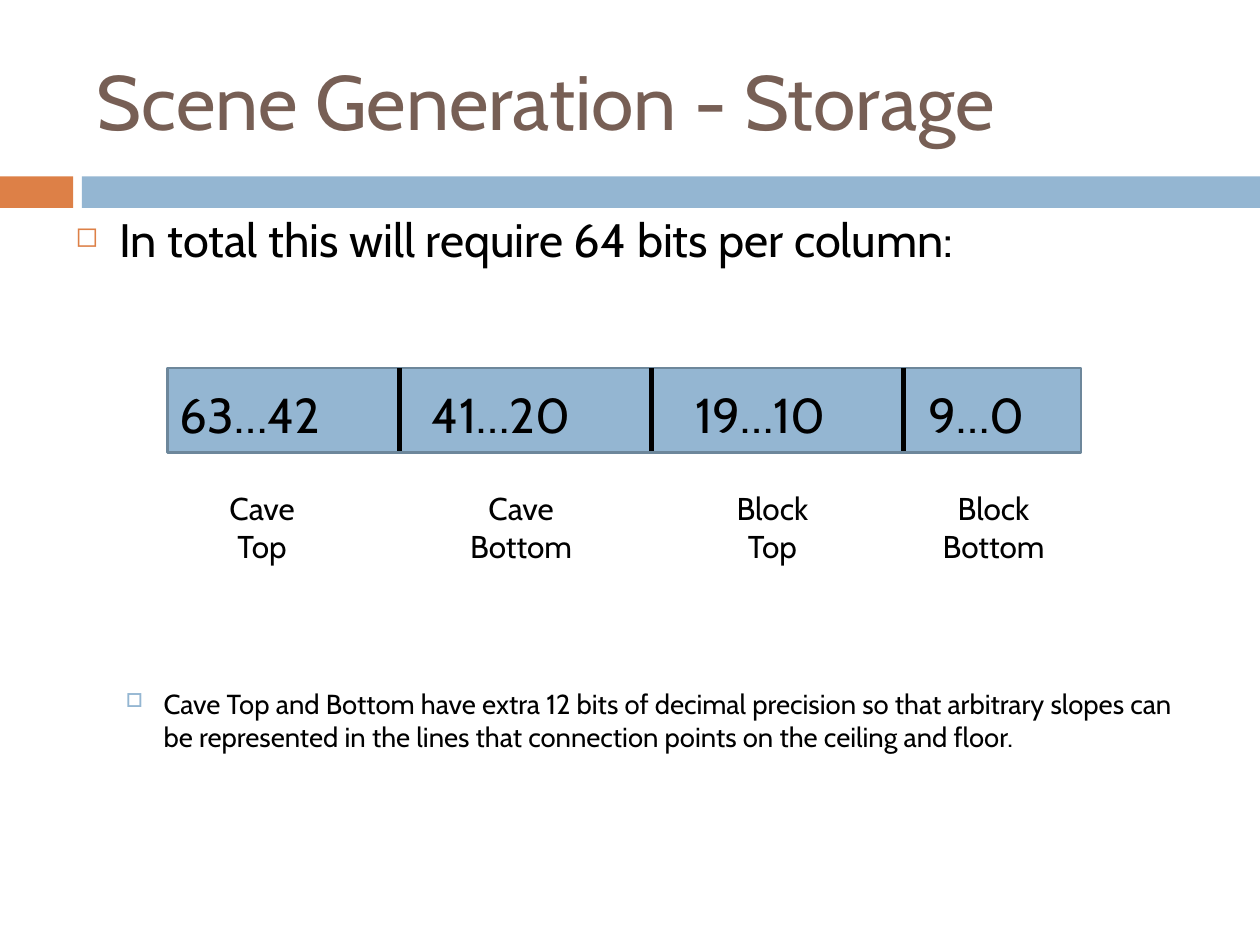
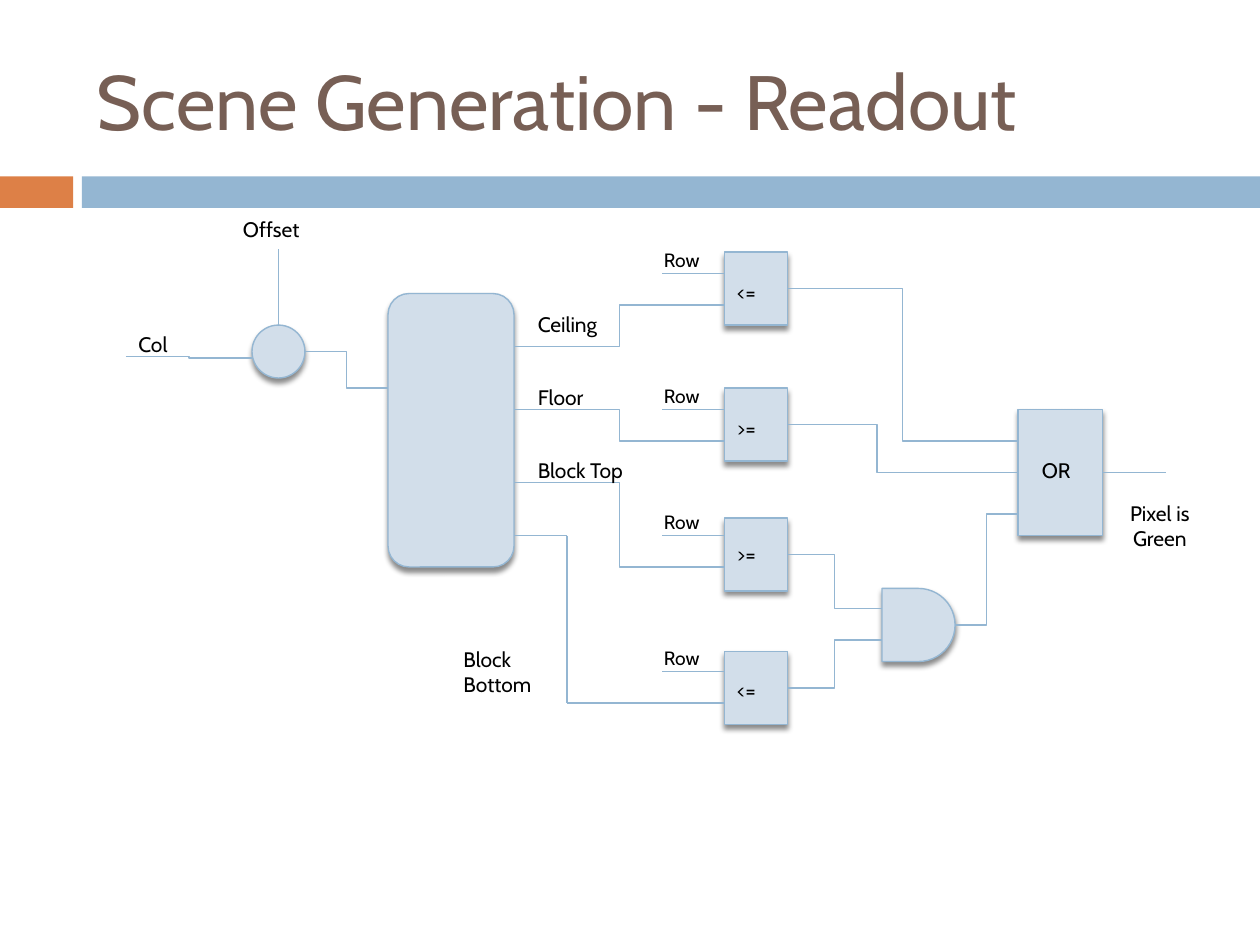
from pptx import Presentation
from pptx.dml.color import RGBColor
from pptx.enum.shapes import MSO_CONNECTOR, MSO_SHAPE
from pptx.enum.text import MSO_ANCHOR, PP_ALIGN
from pptx.oxml import parse_xml
from pptx.oxml.ns import nsdecls
from pptx.util import Inches, Pt

HUES = {
    "title": "775F55", "text": "000000", "accent": "DD8047",
    "blue": "94B6D2", "edge": "6D879B", "pale": "D2DEEA",
}
RGB = {name: RGBColor.from_string(code) for name, code in HUES.items()}
FONT = "Cabin"
NS = nsdecls("a")


def write(slide, words, box, size, hue="text", align=PP_ALIGN.LEFT):
    frame = slide.shapes.add_textbox(*map(Inches, box)).text_frame
    frame.word_wrap = True
    for i, line in enumerate(words.split("\n")):
        para = frame.paragraphs[0] if i == 0 else frame.add_paragraph()
        para.alignment = align
        run = para.add_run()
        run.text = line
        run.font.name = FONT
        run.font.size = Pt(size)
        run.font.color.rgb = RGB[hue]
    return frame


def wire(slide, kind, ends, hue="blue", width=0.79):
    line = slide.shapes.add_connector(kind, *map(Inches, ends))
    line.line.color.rgb = RGB[hue]
    line.line.width = Pt(width)
    line._element.spPr.append(parse_xml(f"<a:effectLst {NS}/>"))
    return line


prs = Presentation()
prs.slide_width = Inches(10)
prs.slide_height = Inches(7.5)
slides = []
for title in ("Scene Generation - Storage", "Scene Generation - Readout"):
    slide = prs.slides.add_slide(prs.slide_layouts[6])
    for left, width, hue in ((0, 0.58, "accent"), (0.65, 9.35, "blue")):
        band = slide.shapes.add_shape(
            MSO_SHAPE.RECTANGLE, Inches(left), Inches(1.4), Inches(width), Inches(0.25))
        band.shadow.inherit = False
        band.fill.solid()
        band.fill.fore_color.rgb = RGB[hue]
        band.line.fill.background()
    head = write(slide, title, (0.67, 0.25, 8.92, 1.08), 44, "title")
    head.vertical_anchor = MSO_ANCHOR.MIDDLE
    slides.append(slide)
store, read = slides

body = write(
    store,
    "In total this will require 64 bits per column:\n"
    "Cave Top and Bottom have extra 12 bits of decimal precision so that arbitrary "
    "slopes can be represented in the lines that connection points on the ceiling and floor.",
    (0.5, 1.62, 9, 4.3), 26.8)
body.paragraphs[1].runs[0].font.size = Pt(15.7)
marks = (
    (0.35, 0.35, "accent", 60, "◻", 7),
    (0.7, 0.3, "blue", 70, "□", 240),
)
for para, (left, hang, hue, size, mark, gap) in zip(body.paragraphs, marks):
    props = para._p.get_or_add_pPr()
    props.set("marL", str(Inches(left)))
    props.set("indent", str(-Inches(hang)))
    for xml in (
        f'<a:buClr {NS}><a:srgbClr val="{HUES[hue]}"/></a:buClr>',
        f'<a:buSzPct {NS} val="{size * 1000}"/>',
        f'<a:buChar {NS} char="{mark}"/>',
    ):
        props.append(parse_xml(xml))
    para.space_before = Pt(gap)

word = store.shapes.add_shape(
    MSO_SHAPE.RECTANGLE, Inches(1.33), Inches(2.92), Inches(7.25), Inches(0.67))
word.shadow.inherit = False
word.fill.solid()
word.fill.fore_color.rgb = RGB["blue"]
word.line.color.rgb = RGB["edge"]
word.line.width = Pt(1.5)

fields = (
    ("63…42", 1.33, 1.58, "Cave\nTop", 1.58, 1),
    ("41…20", 3.33, 1.58, "Cave\nBottom", 3.51, 1.25),
    ("19…10", 5.42, 1.67, "Block Top", 5.67, 0.92),
    ("9…0", 7.27, 1.25, "Block\nBottom", 7.26, 1.25),
)
for bits, left, width, label, start, span in fields:
    write(store, bits, (left, 3, width, 0.57), 28)
    write(store, label, (start, 3.83, span, 0.71), 18, align=PP_ALIGN.CENTER)
for i in range(3):
    x = 3.17 + 2 * i
    wire(store, MSO_CONNECTOR.STRAIGHT, (x, 2.92, x, 3.58), "text", 3)

gates = ((2, 2.17, "<="), (3.08, 3.25, ">="), (4.11, 4.25, ">="), (5.17, 5.33, "<="))
parts = [
    (MSO_SHAPE.OVAL, 2, 2.58, 0.42, 0.42),
    (MSO_SHAPE.ROUNDED_RECTANGLE, 3.08, 2.33, 1, 2.17),
    (MSO_SHAPE.FLOWCHART_DELAY, 7, 4.67, 0.58, 0.58),
    (MSO_SHAPE.RECTANGLE, 8.08, 3.25, 0.67, 1),
] + [(MSO_SHAPE.RECTANGLE, 5.75, top, 0.5, 0.58) for top, _, _ in gates]
blocks = []
for kind, *box in parts:
    block = read.shapes.add_shape(kind, *map(Inches, box))
    block.fill.solid()
    block.fill.fore_color.rgb = RGB["pale"]
    block.line.color.rgb = RGB["blue"]
    block.line.width = Pt(0.79)
    block._element.spPr.append(parse_xml(
        f'<a:effectLst {NS}><a:outerShdw blurRad="{Pt(3)}" dist="{Pt(2.4)}" '
        'dir="5400000" rotWithShape="0"><a:srgbClr val="000000">'
        '<a:alpha val="45000"/></a:srgbClr></a:outerShdw></a:effectLst>'))
    blocks.append(block)
final, boxes = blocks[3], blocks[4:]

for ends in (
    (1, 2.83, 2, 2.84),
    (2.42, 2.79, 3.08, 3.08),
    (4.08, 2.75, 5.75, 2.42),
    (4.08, 3.25, 5.75, 3.5),
    (4.08, 3.83, 5.75, 4.5),
    (7.58, 4.96, 8.08, 4.08),
):
    wire(read, MSO_CONNECTOR.ELBOW, ends)
outs = ((2.29, 8.08, 3.5), (3.38, 7.67, 3.75), (4.4, 7, 4.83), (5.46, 7, 5.08))
for box, (y, right, end) in zip(boxes, outs):
    wire(read, MSO_CONNECTOR.ELBOW, (6.25, y, right, end)).begin_connect(box, 3)
for ends in (
    (4.08, 4.25, 4.5, 4.25),
    (4.5, 4.25, 4.5, 5.58),
    (4.5, 5.58, 5.75, 5.58),
):
    wire(read, MSO_CONNECTOR.STRAIGHT, ends)
wire(read, MSO_CONNECTOR.STRAIGHT, (2.21, 1.98, 2.21, 2.58)).end_connect(blocks[0], 0)
wire(read, MSO_CONNECTOR.STRAIGHT, (7.67, 3.75, 8.08, 3.75)).end_connect(final, 1)
wire(read, MSO_CONNECTOR.STRAIGHT, (8.75, 3.75, 9.25, 3.75)).begin_connect(final, 3)

for _, y, sign in gates:
    write(read, sign, (5.75, y, 0.5, 0.3), 12)
    write(read, "Row", (5.17, y - 0.25, 0.58, 0.29), 11)
    wire(read, MSO_CONNECTOR.STRAIGHT, (5.75, y, 5.25, y))
for label, *box in (
    ("Col", 1, 2.58, 0.75, 0.3),
    ("Offset", 1.83, 1.67, 0.75, 0.3),
    ("Ceiling", 4.17, 2.42, 0.83, 0.3),
    ("Floor", 4.17, 3, 0.83, 0.3),
    ("Block Top", 4.17, 3.58, 1.33, 0.3),
    ("Block Bottom", 3.58, 5.08, 0.83, 0.5),
    ("OR", 8.17, 3.58, 0.5, 0.3),
):
    write(read, label, box, 12)
write(read, "Pixel is Green", (8.83, 3.92, 0.75, 0.71), 12, align=PP_ALIGN.CENTER)

prs.save("out.pptx")
